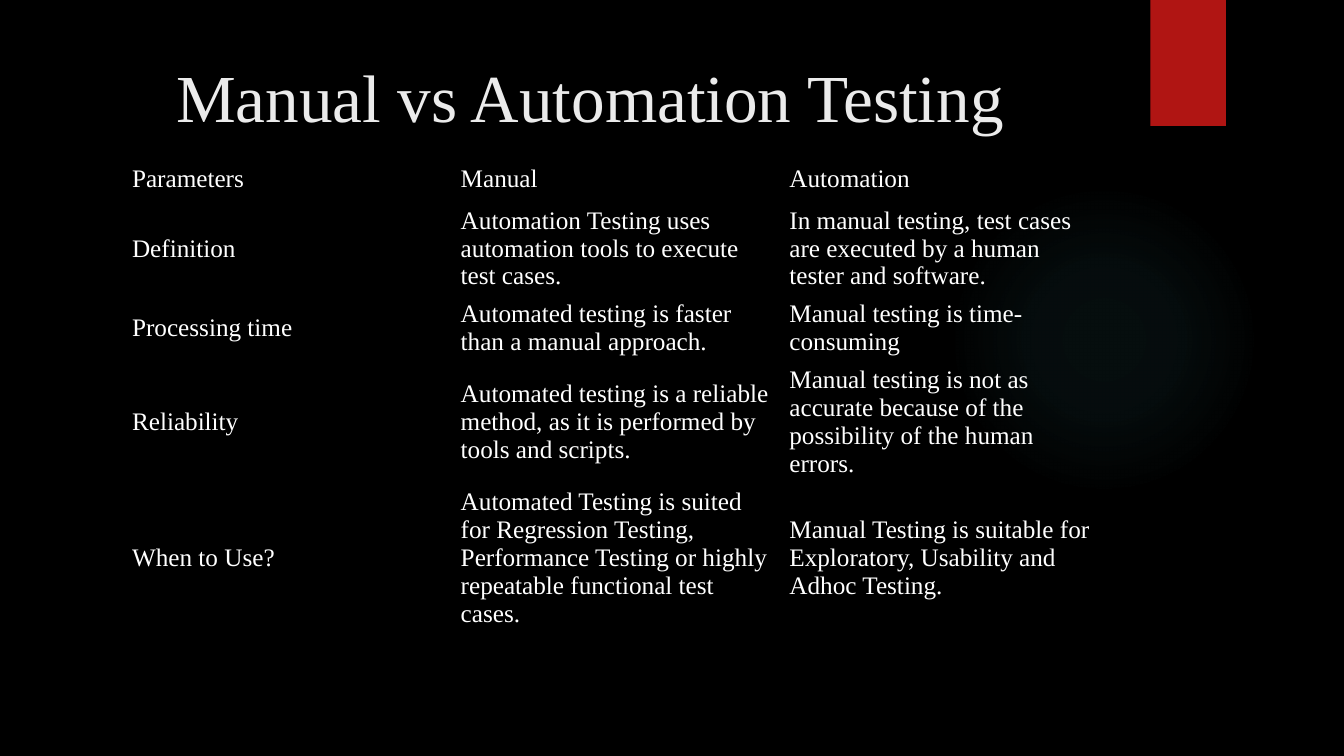
from typing import NamedTuple

from lxml.etree import SubElement
from pptx import Presentation
from pptx.dml.color import RGBColor
from pptx.enum.shapes import MSO_SHAPE as SHAPE
from pptx.enum.text import MSO_ANCHOR as ANCHOR, PP_ALIGN as ALIGN
from pptx.oxml.ns import qn
from pptx.shapes.autoshape import Shape
from pptx.slide import Slide
from pptx.text.text import TextFrame
from pptx.util import Inches, Pt

FONT = "Times New Roman"
NO_STYLE_NO_GRID = "{2D5ABB26-0587-4C30-8999-92F81FD0307C}"


class Comparison(NamedTuple):
    parameter: str
    manual: str
    automation: str


class GlowStop(NamedTuple):
    position: int
    opacity: int


COMPARISONS = [
    Comparison("Parameters", "Manual", "Automation"),
    Comparison("Definition",
               "Automation Testing uses automation tools to execute test cases.",
               "In manual testing, test cases are executed by a human tester and software."),
    Comparison("Processing time",
               "Automated testing is faster than a manual approach.",
               "Manual testing is time-consuming"),
    Comparison("Reliability",
               "Automated testing is a reliable method, as it is performed by tools and scripts.",
               "Manual testing is not as accurate because of the possibility of the human errors."),
    Comparison("When to Use?",
               "Automated Testing is suited for Regression Testing, Performance Testing "
               "or highly repeatable functional test cases.",
               "Manual Testing is suitable for Exploratory, Usability and Adhoc Testing."),
]
GLOW_STOPS = [GlowStop(0, 7), GlowStop(36, 6), GlowStop(69, 0)]


def rgb(color: str) -> RGBColor:
    return RGBColor.from_string(color)


def add_plain_shape(s: Slide, kind: SHAPE, x: float, y: float, w: float, h: float,
                    color: str) -> Shape:
    sp = s.shapes.add_shape(kind, Inches(x), Inches(y), Inches(w), Inches(h))
    sp.shadow.inherit = False
    sp.fill.solid()
    sp.fill.fore_color.rgb = rgb(color)
    sp.line.fill.background()
    return sp


def make_glow(sp: Shape, color: str, stops: list[GlowStop]) -> None:
    """Replace the fill with a radial gradient that fades outwards."""
    sp_pr = sp.element.spPr
    solid = sp_pr.find(qn("a:solidFill"))
    grad = SubElement(sp_pr, qn("a:gradFill"), rotWithShape="1")
    sp_pr.replace(solid, grad)
    stop_list = SubElement(grad, qn("a:gsLst"))
    for stop in stops:
        gs = SubElement(stop_list, qn("a:gs"), pos=str(stop.position * 1000))
        clr = SubElement(gs, qn("a:srgbClr"), val=color)
        SubElement(clr, qn("a:alpha"), val=str(stop.opacity * 1000))
    radial = SubElement(grad, qn("a:path"), path="circle")
    SubElement(radial, qn("a:fillToRect"), l="50000", t="50000", r="50000", b="50000")


def set_text(tf: TextFrame, text: str, size: int, color: str, align: ALIGN) -> None:
    tf.text = text
    p = tf.paragraphs[0]
    p.alignment = align
    p.font.name = FONT
    p.font.size = Pt(size)
    p.font.color.rgb = rgb(color)


def add_title(s: Slide, text: str) -> None:
    title = s.shapes.title
    title.left, title.top = Inches(0.71), Inches(0.5)
    title.width, title.height = Inches(10.29), Inches(1.53)
    tf = title.text_frame
    tf.word_wrap = True
    tf.vertical_anchor = ANCHOR.TOP
    set_text(tf, text, 48, "EBEBEB", ALIGN.CENTER)


def add_comparison_table(s: Slide, rows: list[Comparison]) -> None:
    row_height = Inches(0.41)
    frame = s.shapes.add_table(len(rows), len(Comparison._fields), Inches(1.21),
                               Inches(1.59), Inches(9.78), row_height * len(rows))
    table = frame.table
    table.first_row = table.horz_banding = False
    table._tbl.tblPr.find(qn("a:tableStyleId")).text = NO_STYLE_NO_GRID
    for i, row in enumerate(rows):
        for j, text in enumerate(row):
            cell = table.cell(i, j)
            cell.fill.background()
            cell.vertical_anchor = ANCHOR.MIDDLE if i else ANCHOR.TOP
            set_text(cell.text_frame, text, 18, "FFFFFF", ALIGN.LEFT)


def main() -> None:
    prs = Presentation()
    prs.slide_width, prs.slide_height = Inches(13.33), Inches(7.5)
    s = prs.slides.add_slide(prs.slide_layouts[5])
    s.background.fill.solid()
    s.background.fill.fore_color.rgb = rgb("000000")

    glow = add_plain_shape(s, SHAPE.OVAL, 9.41, 1.83, 3.08, 3.08, "50B9C1")
    make_glow(glow, "50B9C1", GLOW_STOPS)
    add_plain_shape(s, SHAPE.RECTANGLE, 11.41, 0, 0.75, 1.25, "B01513")
    add_title(s, "Manual vs Automation Testing")
    add_comparison_table(s, COMPARISONS)
    prs.save("out.pptx")


if __name__ == "__main__":
    main()
